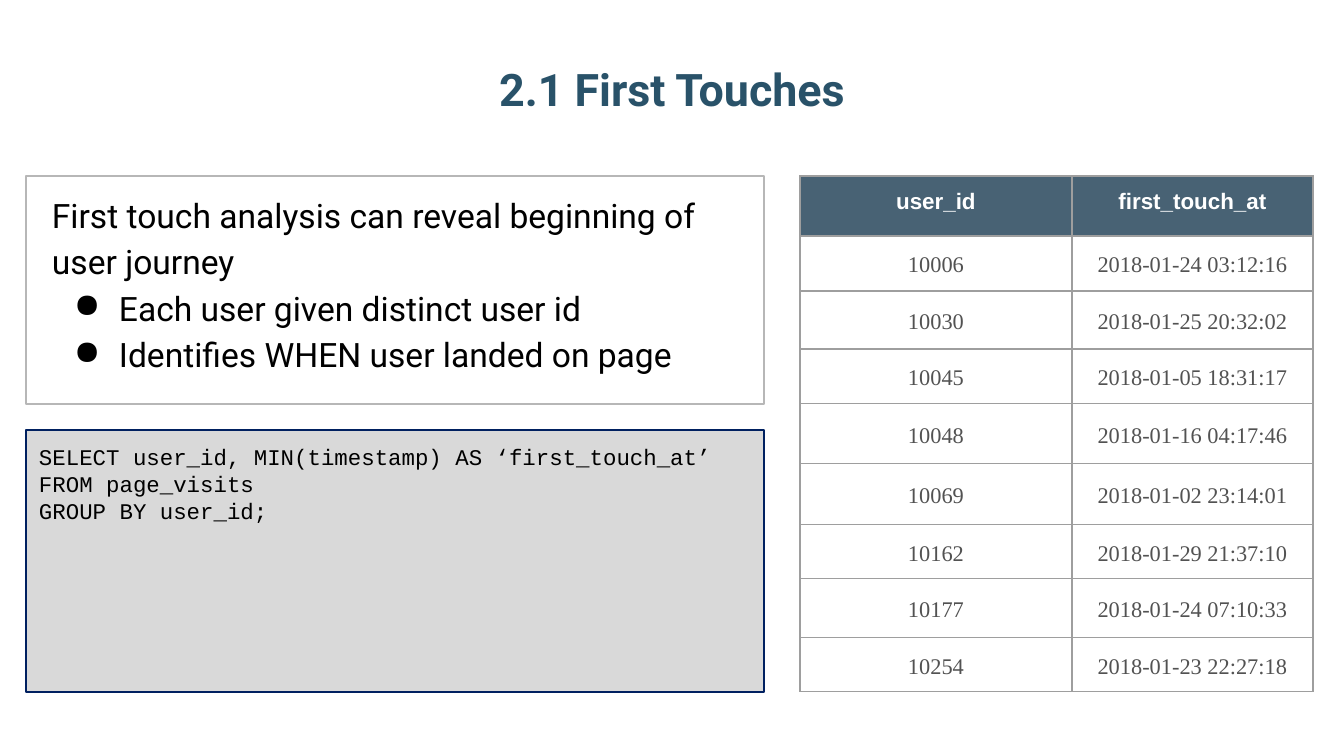
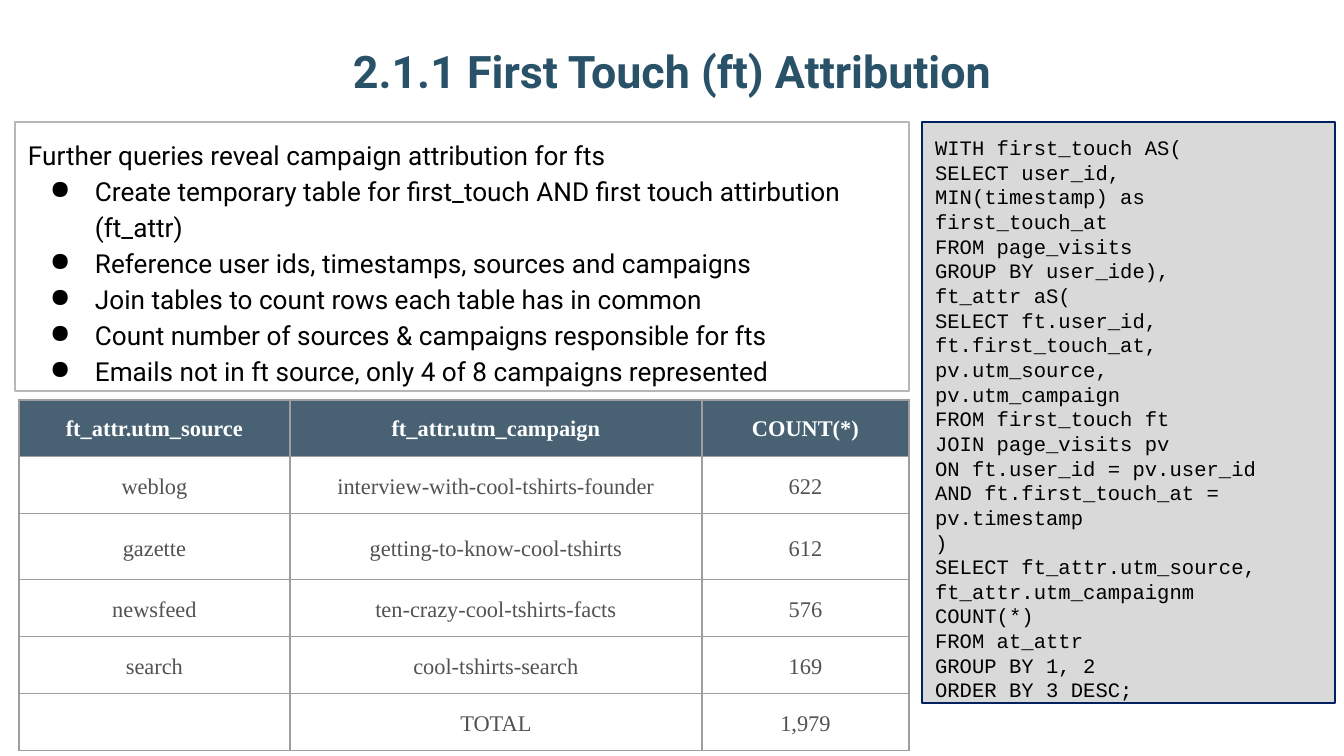
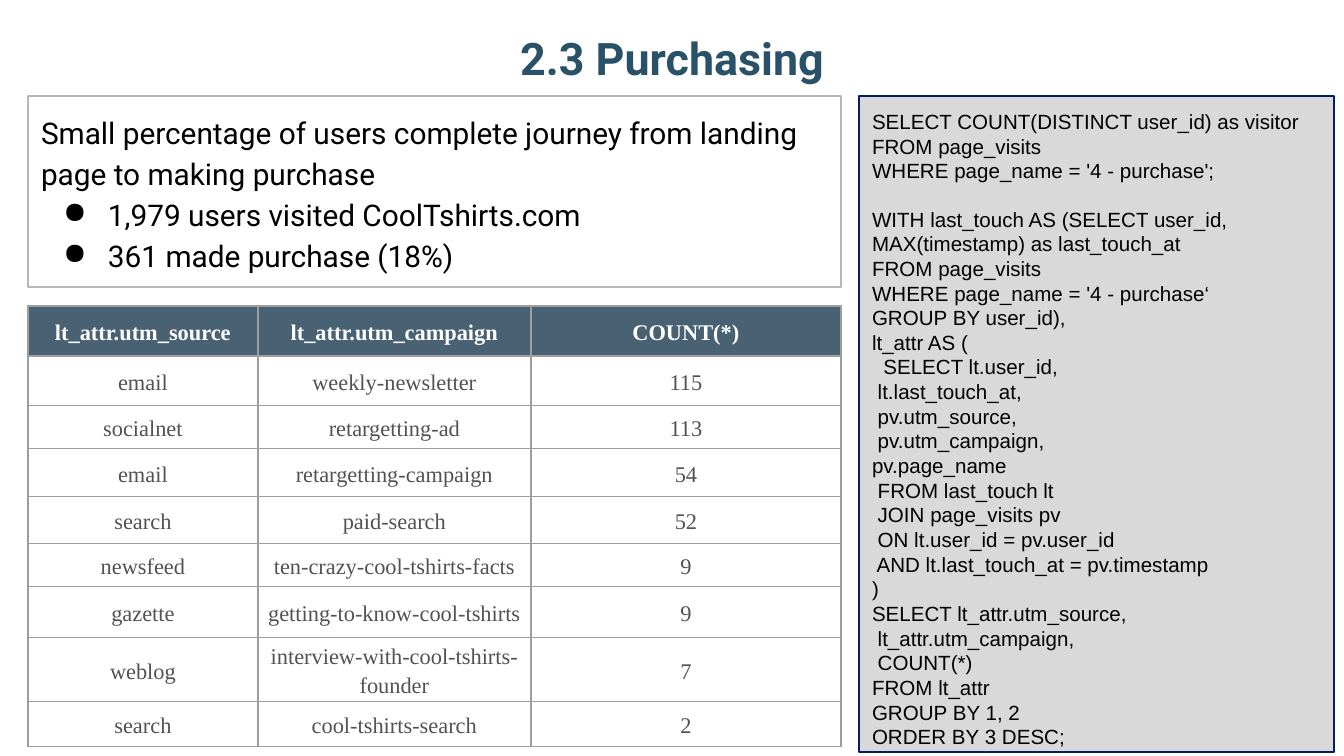
from lxml import etree
from pptx import Presentation
from pptx.dml.color import RGBColor
from pptx.enum.shapes import MSO_SHAPE
from pptx.enum.text import MSO_ANCHOR, PP_ALIGN
from pptx.oxml.ns import qn
from pptx.util import Emu, Pt

RECT = MSO_SHAPE.RECTANGLE
TOP, MIDDLE, BOTTOM = MSO_ANCHOR.TOP, MSO_ANCHOR.MIDDLE, MSO_ANCHOR.BOTTOM
LEFT, CENTER = PP_ALIGN.LEFT, PP_ALIGN.CENTER

EMU_PER_PX = 914400 / 134.4
PAD = 13
BLACK, WHITE = "000000", "FFFFFF"
TITLE, HEADER, BODY = "295269", "204056", "525252"
BOX_LINE, CODE_LINE, CODE_FILL, GRID = "B7B7B7", "002060", "D9D9D9", "9E9E9E"
SANS, SERIF, MONO, PLAIN = "Roboto", "Times New Roman", "Courier New", "Arial"


def px(n):
    return Emu(round(n * EMU_PER_PX))


def color(hex_string):
    return RGBColor.from_string(hex_string)


def add_xml(parent, tag, **attrs):
    return etree.SubElement(parent, qn(tag), attrs)


class Deck:
    """Holds the shared style and the current slide."""

    def __init__(self):
        self.prs = Presentation()
        self.prs.slide_width, self.prs.slide_height = px(1344), px(756)
        self.slide = None

    def new_slide(self, title, top):
        self.slide = self.prs.slides.add_slide(self.prs.slide_layouts[6])
        sp = self.slide.shapes.add_textbox(px(46), px(top), px(1252), px(124))
        self.frame(sp.text_frame, BOTTOM)
        self.para(sp.text_frame.paragraphs[0], title, 24, SANS, TITLE,
                  align=CENTER, bold=True)

    def frame(self, tf, anchor=TOP, left=PAD):
        tf.word_wrap = True
        tf.vertical_anchor = anchor
        tf.margin_left = px(left)
        tf.margin_top = tf.margin_right = tf.margin_bottom = px(PAD)

    def para(self, p, text, size, font, ink=BLACK, align=LEFT, bold=False,
             spacing=None, bullet=False):
        p.text = text
        p.alignment = align
        if spacing:
            p.line_spacing = spacing
        if bullet:
            self.bullet(p)
        p.font.size, p.font.name, p.font.bold = Pt(size), font, bold
        p.font.color.rgb = color(ink)

    def bullet(self, p):
        pPr = p._p.get_or_add_pPr()
        pPr.set("marL", str(px(67)))
        pPr.set("indent", str(px(-45)))
        add_xml(add_xml(pPr, "a:buClr"), "a:srgbClr", val=BLACK)
        add_xml(pPr, "a:buChar", char="●")

    def box(self, x, y, w, h, line, weight=0.75, fill=None, left=PAD):
        sp = self.slide.shapes.add_shape(RECT, px(x), px(y), px(w), px(h))
        sp.shadow.inherit = False
        if fill:
            sp.fill.solid()
            sp.fill.fore_color.rgb = color(fill)
        else:
            sp.fill.background()
        sp.line.color.rgb = color(line)
        sp.line.width = Pt(weight)
        self.frame(sp.text_frame, left=left)
        return sp.text_frame

    def points(self, x, y, w, h, lead, items, size, weight=0.75, left=PAD):
        tf = self.box(x, y, w, h, BOX_LINE, weight, left=left)
        self.para(tf.paragraphs[0], lead, size, SANS, spacing=1.15)
        for item in items:
            self.para(tf.add_paragraph(), item, size, SANS, spacing=1.15,
                      bullet=True)

    def code(self, x, y, w, h, blocks, size, font):
        """Sets blocks of code, kept apart by the height of one line."""
        tf = self.box(x, y, w, h, CODE_LINE, fill=CODE_FILL)
        p = tf.paragraphs[0]
        for b, block in enumerate(blocks):
            for i, line in enumerate(block.strip("\n").split("\n")):
                if b or i:
                    p = tf.add_paragraph()
                if b and not i:
                    p.space_before = Pt(size * 1.15)
                self.para(p, line, size, font)

    def table(self, x, y, widths, heights, rows, head_font=SERIF,
              head_pad=PAD, head_anchor=TOP, head_spacing=1.15):
        table = self.slide.shapes.add_table(
            len(rows), len(widths), px(x), px(y),
            px(sum(widths)), px(sum(heights))).table
        table.first_row = table.horz_banding = False
        for column, width in zip(table.columns, widths):
            column.width = px(width)
        for row, height in zip(table.rows, heights):
            row.height = px(height)
        for r, values in enumerate(rows):
            for c, value in enumerate(values):
                cell = table.cell(r, c)
                p = cell.text_frame.paragraphs[0]
                if r == 0:
                    self.cell(cell, head_pad, head_anchor, HEADER)
                    self.para(p, value, 12, head_font, WHITE, CENTER, True,
                              head_spacing)
                else:
                    self.cell(cell, 1, MIDDLE)
                    self.para(p, value, 12, SERIF, BODY, CENTER, spacing=1.15)

    def cell(self, cell, pad, anchor, fill=None):
        cell.margin_left = cell.margin_right = px(pad)
        cell.margin_top = cell.margin_bottom = px(pad)
        cell.vertical_anchor = anchor
        tcPr = cell._tc.get_or_add_tcPr()
        for side in ("L", "R", "T", "B"):
            ln = add_xml(tcPr, f"a:ln{side}", w=str(Pt(0.75)))
            add_xml(add_xml(ln, "a:solidFill"), "a:srgbClr", val=GRID)
        if fill:
            clr = add_xml(add_xml(tcPr, "a:solidFill"), "a:srgbClr", val=fill)
            add_xml(clr, "a:alpha", val="82000")
        else:
            add_xml(tcPr, "a:noFill")


def first_touches(deck):
    deck.new_slide("2.1 First Touches", 5)
    deck.points(26, 176, 738, 228,
                "First touch analysis can reveal beginning of user journey",
                ["Each user given distinct user id",
                 "Identifies WHEN user landed on page"],
                18, weight=1.5, left=26)
    deck.table(800, 176, [272, 241], [60, 55, 58, 55, 60, 61, 54, 59, 54], [
        ("user_id", "first_touch_at"),
        ("10006", "2018-01-24 03:12:16"),
        ("10030", "2018-01-25 20:32:02"),
        ("10045", "2018-01-05 18:31:17"),
        ("10048", "2018-01-16 04:17:46"),
        ("10069", "2018-01-02 23:14:01"),
        ("10162", "2018-01-29 21:37:10"),
        ("10177", "2018-01-24 07:10:33"),
        ("10254", "2018-01-23 22:27:18"),
    ], head_font=PLAIN, head_spacing=None)
    deck.code(26, 430, 738, 262, ["""
SELECT user_id, MIN(timestamp) AS ‘first_touch_at’
FROM page_visits
GROUP BY user_id;
"""], 12, MONO)


def first_touch_attribution(deck):
    deck.new_slide("2.1.1 First Touch (ft) Attribution", -13)
    deck.code(922, 122, 413, 581, ["""
WITH first_touch AS(
SELECT user_id,
MIN(timestamp) as
first_touch_at
FROM page_visits
GROUP BY user_ide),
ft_attr aS(
SELECT ft.user_id,
ft.first_touch_at,
pv.utm_source,
pv.utm_campaign
FROM first_touch ft
JOIN page_visits pv
ON ft.user_id = pv.user_id
AND ft.first_touch_at = pv.timestamp
)
SELECT ft_attr.utm_source,
ft_attr.utm_campaignm
COUNT(*)
FROM at_attr
GROUP BY 1, 2
ORDER BY 3 DESC;
"""], 11, MONO)
    deck.points(15, 122, 894, 269,
                "Further queries reveal campaign attribution for fts",
                ["Create temporary table for first_touch AND first touch "
                 "attirbution (ft_attr)",
                 "Reference user ids, timestamps, sources and campaigns",
                 "Join tables to count rows each table has in common",
                 "Count number of sources & campaigns responsible for fts",
                 "Emails not in ft source, only 4 of 8 campaigns represented"],
                14)
    deck.table(19, 400, [271, 412, 207], [55, 57, 66, 57, 57, 57], [
        ("ft_attr.utm_source", "ft_attr.utm_campaign", "COUNT(*)"),
        ("weblog", "interview-with-cool-tshirts-founder", "622"),
        ("gazette", "getting-to-know-cool-tshirts", "612"),
        ("newsfeed", "ten-crazy-cool-tshirts-facts", "576"),
        ("search", "cool-tshirts-search", "169"),
        ("", "TOTAL", "1,979"),
    ])


def purchasing(deck):
    deck.new_slide("2.3 Purchasing", -27)
    deck.points(28, 96, 813, 191,
                "Small percentage of users complete journey from landing page "
                "to making purchase",
                ["1,979 users visited CoolTshirts.com",
                 "361 made purchase (18%)"],
                16)
    deck.code(859, 96, 475, 656, ["""
SELECT COUNT(DISTINCT user_id) as visitor
FROM page_visits
WHERE page_name = '4 - purchase';
""", """
WITH last_touch AS (SELECT user_id, MAX(timestamp) as last_touch_at
FROM page_visits
WHERE page_name = '4 - purchase‘
GROUP BY user_id),
lt_attr AS (
  SELECT lt.user_id,
 lt.last_touch_at,
 pv.utm_source,
 pv.utm_campaign,
pv.page_name
 FROM last_touch lt
 JOIN page_visits pv
 ON lt.user_id = pv.user_id
 AND lt.last_touch_at = pv.timestamp
)
SELECT lt_attr.utm_source,
 lt_attr.utm_campaign,
 COUNT(*)
FROM lt_attr
GROUP BY 1, 2
ORDER BY 3 DESC;
"""], 11, PLAIN)
    deck.table(28, 306, [230, 273, 310],
               [50, 50, 43, 48, 47, 43, 51, 60, 45], [
        ("lt_attr.utm_source", "lt_attr.utm_campaign", "COUNT(*)"),
        ("email", "weekly-newsletter", "115"),
        ("socialnet", "retargetting-ad", "113"),
        ("email", "retargetting-campaign", "54"),
        ("search", "paid-search", "52"),
        ("newsfeed", "ten-crazy-cool-tshirts-facts", "9"),
        ("gazette", "getting-to-know-cool-tshirts", "9"),
        ("weblog", "interview-with-cool-tshirts-founder", "7"),
        ("search", "cool-tshirts-search", "2"),
    ], head_pad=1, head_anchor=MIDDLE)


def main():
    deck = Deck()
    first_touches(deck)
    first_touch_attribution(deck)
    purchasing(deck)
    deck.prs.save("out.pptx")


if __name__ == "__main__":
    main()
